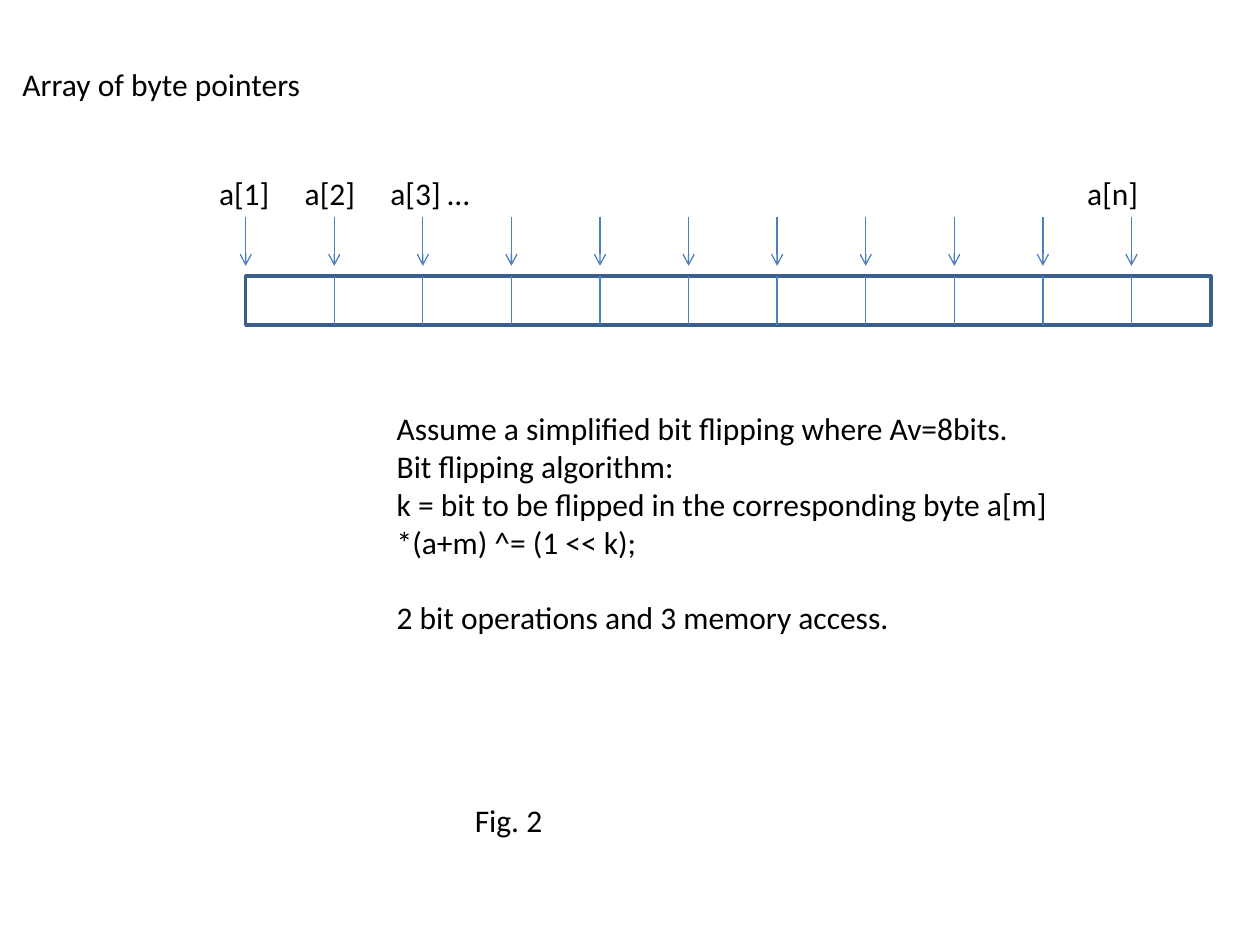
from dataclasses import dataclass

from pptx import Presentation
from pptx.dml.color import RGBColor
from pptx.enum.shapes import MSO_CONNECTOR as CONNECTOR, MSO_SHAPE as SHAPE
from pptx.enum.text import MSO_AUTO_SIZE as AUTO_SIZE
from pptx.oxml.ns import qn
from pptx.util import Inches, Pt
from lxml.etree import SubElement


@dataclass(frozen=True)
class Theme:
    font: str = "Calibri"
    text_size: float = 18
    text: RGBColor = RGBColor(0x00, 0x00, 0x00)
    fill: RGBColor = RGBColor(0xFF, 0xFF, 0xFF)
    border: RGBColor = RGBColor(0x3A, 0x5F, 0x8C)
    border_width: float = 2
    line: RGBColor = RGBColor(0x4B, 0x7E, 0xBC)
    line_width: float = 0.75


class Canvas:
    def __init__(self, slide, theme):
        self.shapes = slide.shapes
        self.theme = theme

    def text(self, content, *, left, top, width, height, tabs=(), gaps=None):
        """Write one paragraph per line; gaps maps a line index to points before it."""
        box = self.shapes.add_textbox(
            Inches(left), Inches(top), Inches(width), Inches(height))
        frame = box.text_frame
        frame.word_wrap = False
        frame.auto_size = AUTO_SIZE.SHAPE_TO_FIT_TEXT
        frame.text = content
        for index, paragraph in enumerate(frame.paragraphs):
            font = paragraph.runs[0].font
            font.name = self.theme.font
            font.size = Pt(self.theme.text_size)
            font.color.rgb = self.theme.text
            if gaps and index in gaps:
                paragraph.space_before = Pt(gaps[index])
            if tabs:
                self._set_tabs(paragraph, tabs)

    def _set_tabs(self, paragraph, tabs):
        stops = SubElement(paragraph._p.get_or_add_pPr(), qn("a:tabLst"))
        for position in tabs:
            SubElement(stops, qn("a:tab"), pos=str(Inches(position)), algn="l")

    def rectangle(self, left, top, width, height):
        rectangle = self.shapes.add_shape(
            SHAPE.RECTANGLE, Inches(left), Inches(top), Inches(width), Inches(height))
        rectangle.shadow.inherit = False
        rectangle.fill.solid()
        rectangle.fill.fore_color.rgb = self.theme.fill
        rectangle.line.color.rgb = self.theme.border
        rectangle.line.width = Pt(self.theme.border_width)

    def vertical_line(self, x, top, bottom, arrow=False):
        connector = self.shapes.add_connector(
            CONNECTOR.STRAIGHT, Inches(x), Inches(top), Inches(x), Inches(bottom))
        connector.line.color.rgb = self.theme.line
        connector.line.width = Pt(self.theme.line_width)
        if arrow:
            SubElement(connector.line._get_or_add_ln(), qn("a:tailEnd"), type="arrow")
        SubElement(connector._element.spPr, qn("a:effectLst"))


def draw_byte_array(canvas):
    left, top, width, height = 1.95, 2.19, 7.66, 0.39
    pitch, pointer_count = 0.703, 11
    arrow_top, arrow_bottom = 1.72, 2.11

    canvas.rectangle(left, top, width, height)
    pointer_xs = [left + index * pitch for index in range(pointer_count)]
    for divider_x in pointer_xs[1:]:
        canvas.vertical_line(divider_x, top, top + height)
    for pointer_x in pointer_xs:
        canvas.vertical_line(pointer_x, arrow_top, arrow_bottom, arrow=True)
    canvas.text("a[1]\ta[2]\ta[3] …\ta[n]", left=1.64, top=1.33,
                width=width, height=0.4, tabs=(0.68, 1.36, 6.89))


def main():
    presentation = Presentation()
    presentation.slide_width, presentation.slide_height = Inches(10), Inches(7.5)
    slide = presentation.slides.add_slide(presentation.slide_layouts[6])
    canvas = Canvas(slide, Theme())

    canvas.text("Fig. 2", left=3.67, top=6.31, width=0.74, height=0.4)
    canvas.text("Array of byte pointers", left=0.08, top=0.47, width=2.43, height=0.4)
    draw_byte_array(canvas)

    algorithm = "\n".join((
        "Assume a simplified bit flipping where Av=8bits.",
        "Bit flipping algorithm:",
        "k = bit to be flipped in the corresponding byte a[m]",
        "*(a+m) ^= (1 << k);",
        "2 bit operations and 3 memory access.",
    ))
    canvas.text(algorithm, left=3.05, top=3.2, width=5.43, height=1.92, gaps={4: 21.6})

    presentation.save("out.pptx")


if __name__ == "__main__":
    main()
